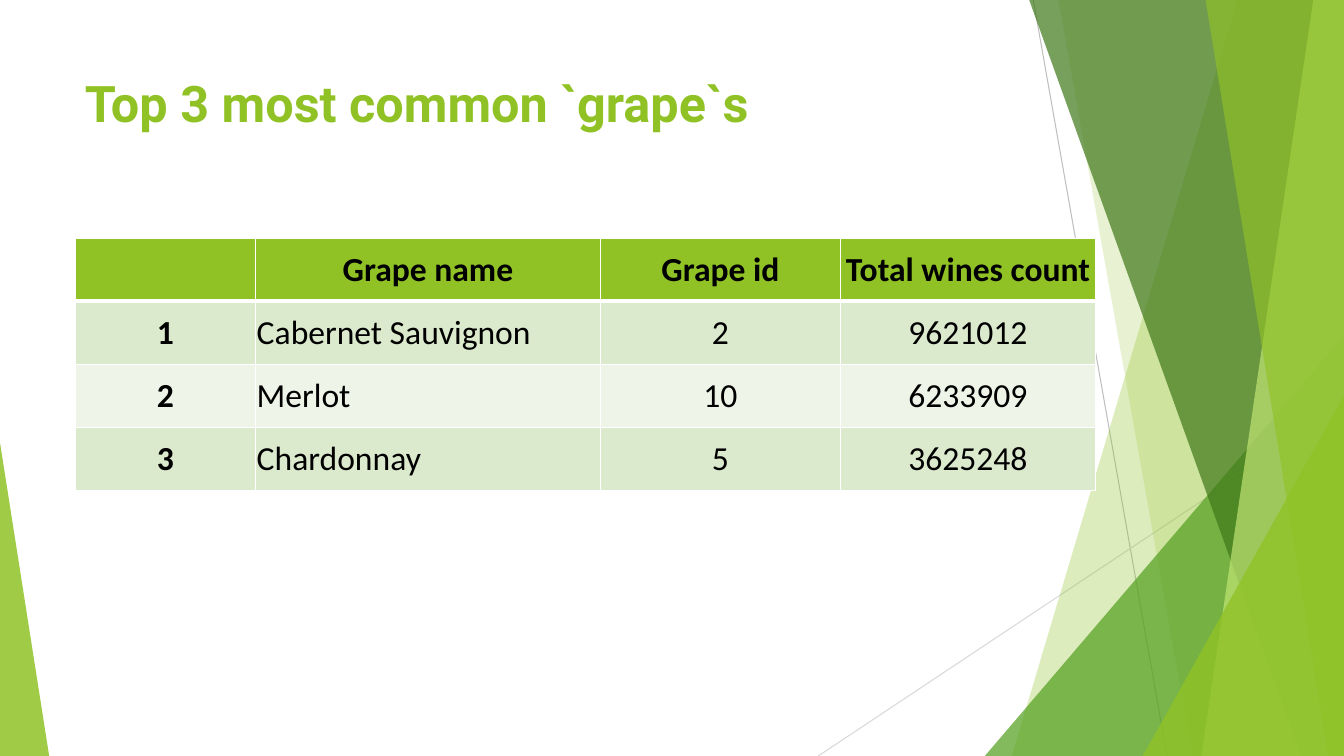
from pptx import Presentation
from pptx.dml.color import RGBColor
from pptx.enum.shapes import MSO_CONNECTOR, MSO_SHAPE
from pptx.enum.text import MSO_ANCHOR, PP_ALIGN
from pptx.oxml.ns import qn
from pptx.util import Cm, Pt
from lxml.etree import SubElement, Element

TITLE = "Top 3 most common `grape`s"
ROWS = [
    ("", "Grape name", "Grape id", "Total wines count"),
    ("1", "Cabernet Sauvignon", "2", "9621012"),
    ("2", "Merlot", "10", "6233909"),
    ("3", "Chardonnay", "5", "3625248"),
]
COL_WIDTHS = (4.55, 8.69, 6.05, 6.43)
ROW_HEIGHT = 1.59
NAME_COL = 1

COLORS = {
    "lime": "90C226", "green": "54A021", "forest": "3F7819", "pale": "C0E474",
    "odd": "DBE9CD", "even": "EEF4E8", "white": "FFFFFF", "black": "000000",
    "line": "BFBFBF", "faint": "D9D9D9",
}
W, H = 33.87, 19.05
BAND_TOP = -0.02

# start x, start y, end x, end y, colour
LINES = [(26.04, 0, 29.41, H, "line"), (W, 10.24, 20.62, H, "faint")]
# bands: left edge at top and at bottom; triangles: left, top, right, apex position
LAYERS = [
    ("band", (31.19, 25.5), "lime", 30),
    ("band", (26.67, 30.05), "lime", 20),
    ("triangle", (24.82, 8.46, W, 1), "green", 72),
    ("band", (25.93, 32.79), "forest", 70),
    ("band", (33.1, 30.28), "pale", 70),
    ("band", (30.38, 33.48), "lime", 65),
    ("triangle", (28.8, 9.98, W, 1), "lime", 80),
    ("triangle", (0, 11.15, 1.24, 0), "lime", 85),
]


def rgb(name):
    return RGBColor.from_string(COLORS[name])


def add_line(shapes, x1, y1, x2, y2, color):
    line = shapes.add_connector(MSO_CONNECTOR.STRAIGHT, Cm(x1), Cm(y1), Cm(x2), Cm(y2))
    line.line.color.rgb = rgb(color)
    line.line.width = Pt(0.75)
    SubElement(line._element.spPr, qn("a:effectLst"))


def add_band(shapes, top_x, bottom_x):
    """Add a four-sided strip that runs to the right edge of the slide."""
    builder = shapes.build_freeform(Cm(top_x), Cm(BAND_TOP))
    corners = [(W, BAND_TOP), (W, H), (bottom_x, H)]
    builder.add_line_segments([(Cm(x), Cm(y)) for x, y in corners], close=True)
    return builder.convert_to_shape()


def add_triangle(shapes, left, top, right, apex):
    sp = shapes.add_shape(MSO_SHAPE.ISOSCELES_TRIANGLE, Cm(left), Cm(top),
                          Cm(right - left), Cm(H - top))
    sp.adjustments[0] = apex
    return sp


def paint(sp, color, opacity):
    sp.shadow.inherit = False
    sp.line.fill.background()
    sp.fill.solid()
    sp.fill.fore_color.rgb = rgb(color)
    srgb = sp._element.spPr.find(qn("a:solidFill")).find(qn("a:srgbClr"))
    SubElement(srgb, qn("a:alpha"), val=str(opacity * 1000))


def add_run(p, text, font, size, color, bold):
    r = p.add_run()
    r.text = text
    r.font.name, r.font.size, r.font.bold = font, Pt(size), bold
    r.font.color.rgb = rgb(color)


def set_borders(cell, widths):
    """Draw white borders; widths in points, keyed L, R, T, B."""
    tcPr = cell._tc.get_or_add_tcPr()
    for i, (side, width) in enumerate(widths.items()):
        ln = Element(qn(f"a:ln{side}"), w=str(Pt(width)))
        fill = SubElement(ln, qn("a:solidFill"))
        SubElement(fill, qn("a:srgbClr"), val=COLORS["white"])
        tcPr.insert(i, ln)


def fill_cell(cell, row, col, text):
    header = row == 0
    cell.fill.solid()
    cell.fill.fore_color.rgb = rgb("lime" if header else "odd" if row % 2 else "even")
    set_borders(cell, {"L": 1, "R": 1, "T": 3 if row == 1 else 1, "B": 3 if header else 1})
    cell.vertical_anchor = MSO_ANCHOR.MIDDLE
    cell.margin_left = cell.margin_right = cell.margin_top = Cm(0.03)
    cell.margin_bottom = 0
    if text:
        p = cell.text_frame.paragraphs[0]
        left = col == NAME_COL and not header
        p.alignment = PP_ALIGN.LEFT if left else PP_ALIGN.CENTER
        add_run(p, text, "Calibri", 24, "black", header or col == 0)


def add_grape_table(shapes):
    frame = shapes.add_table(len(ROWS), len(COL_WIDTHS), Cm(1.89), Cm(6),
                             Cm(sum(COL_WIDTHS)), Cm(ROW_HEIGHT * len(ROWS)))
    table = frame.table
    for column, width in zip(table.columns, COL_WIDTHS):
        column.width = Cm(width)
    for i, values in enumerate(ROWS):
        table.rows[i].height = Cm(ROW_HEIGHT)
        for j, text in enumerate(values):
            fill_cell(table.cell(i, j), i, j, text)


def main():
    prs = Presentation()
    prs.slide_width, prs.slide_height = Cm(W), Cm(H)
    shapes = prs.slides.add_slide(prs.slide_layouts[6]).shapes

    for line in LINES:
        add_line(shapes, *line)
    builders = {"band": add_band, "triangle": add_triangle}
    for kind, geometry, color, opacity in LAYERS:
        paint(builders[kind](shapes, *geometry), color, opacity)

    tf = shapes.add_textbox(Cm(1.89), Cm(1.7), Cm(23.88), Cm(3.66)).text_frame
    tf.word_wrap = True
    add_run(tf.paragraphs[0], TITLE, "Roboto", 36, "lime", True)

    add_grape_table(shapes)
    prs.save("out.pptx")


if __name__ == "__main__":
    main()
